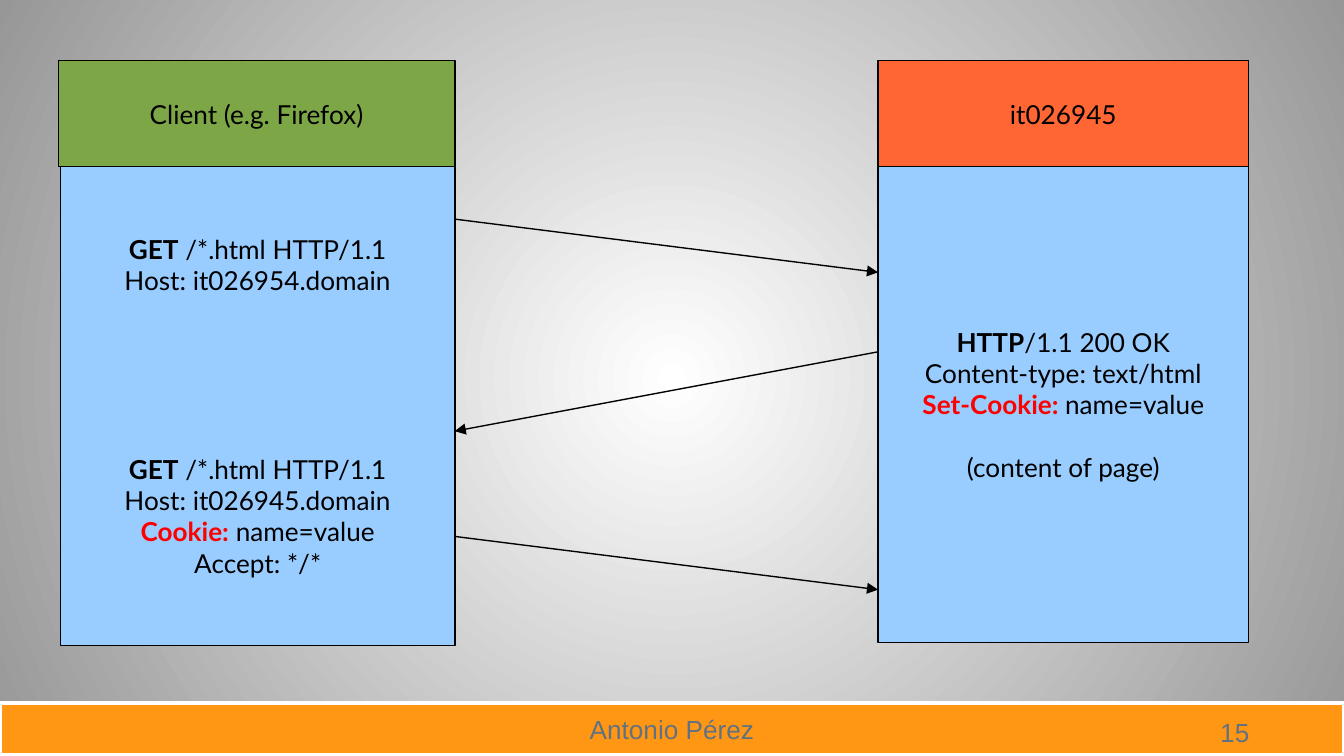
from lxml.etree import SubElement
from pptx import Presentation
from pptx.dml.color import RGBColor
from pptx.enum.shapes import MSO_CONNECTOR, MSO_SHAPE
from pptx.enum.text import MSO_ANCHOR, PP_ALIGN
from pptx.oxml.ns import qn
from pptx.util import Pt

COLORS = {
    "black": "000000", "white": "FFFFFF", "gray": "979797", "blue": "99CCFF",
    "green": "7DA647", "red_orange": "FF6633", "red": "FF0000",
    "orange": "FF9715", "slate": "617181",
}


def rgb(name):
    return RGBColor.from_string(COLORS[name])


def add_box(bounds, fill, lines, line=("black", 0.75), font=("Lato", "black")):
    """Each line is (space before, keyword, keyword colour, plain text)."""
    box = slide.shapes.add_shape(MSO_SHAPE.RECTANGLE, *map(Pt, bounds))
    box.shadow.inherit = False
    box.fill.solid()
    box.fill.fore_color.rgb = rgb(fill)
    box.line.color.rgb = rgb(line[0])
    box.line.width = Pt(line[1])
    frame = box.text_frame
    frame.word_wrap = True
    frame.vertical_anchor = MSO_ANCHOR.MIDDLE
    for index, (space, keyword, keyword_color, plain) in enumerate(lines):
        paragraph = frame.add_paragraph() if index else frame.paragraphs[0]
        paragraph.alignment = PP_ALIGN.CENTER
        paragraph.space_before = Pt(space)
        for text, color, bold in ((keyword, keyword_color, True), (plain, font[1], False)):
            if text:
                run = paragraph.add_run()
                run.text = text
                run.font.name = font[0]
                run.font.size = Pt(14)
                run.font.bold = bold
                run.font.color.rgb = rgb(color)


presentation = Presentation()
presentation.slide_width, presentation.slide_height = Pt(720), Pt(405)
slide = presentation.slides.add_slide(presentation.slide_layouts[6])

# Background: white centre fading to gray
background = slide.background.fill
background.gradient()
for stop, color in zip(background.gradient_stops, ("white", "gray")):
    stop.color.rgb = rgb(color)
gradient = slide.element.find(".//" + qn("a:gradFill"))
gradient.remove(gradient.find(qn("a:lin")))
circle = SubElement(gradient, qn("a:path"), path="circle")
SubElement(circle, qn("a:fillToRect"), l="50000", t="50000", r="50000", b="50000")

# Footer
add_box((0, 376.6, 720, 28), "orange", [(0, "", "", "Antonio Pérez")],
        line=("white", 2), font=("Arial", "slate"))
number = slide.shapes.add_textbox(Pt(646.6), Pt(380.2), Pt(43), Pt(24.5))
number.text_frame.word_wrap = True
number.text_frame.text = "15"
number_font = number.text_frame.paragraphs[0].runs[0].font
number_font.name = "Arial"
number_font.size = Pt(14)
number_font.color.rgb = rgb("slate")

# Messages of client and server, then the headers on top of them
add_box((32.4, 89.3, 211.4, 256.4), "blue", [
    (0, "GET", "black", " /*.html HTTP/1.1"),
    (0, "", "", "Host: it026954.domain"),
    (84, "GET", "black", " /*.html HTTP/1.1"),
    (0, "", "", "Host: it026945.domain"),
    (0, "Cookie:", "red", " name=value"),
    (0, "", "", "Accept: */*"),
])
add_box((470.4, 89.3, 198.5, 254.9), "blue", [
    (0, "HTTP", "black", "/1.1 200 OK"),
    (0, "", "", "Content-type: text/html"),
    (0, "Set-Cookie: ", "red", "name=value"),
    (16.8, "", "", "(content of page)"),
])
add_box((31.2, 32.4, 212.6, 56.9), "green", [(0, "", "", "Client (e.g. Firefox)")])
add_box((470.4, 32.4, 198.5, 56.9), "red_orange", [(0, "", "", "it026945")])

# Request, response, second request
client_edge, server_edge = 243.6, 470.4
for start_x, start_y, end_x, end_y in (
    (client_edge, 117.4, server_edge, 145.9),
    (server_edge, 188.5, client_edge, 231),
    (client_edge, 287.4, server_edge, 315.9),
):
    arrow = slide.shapes.add_connector(
        MSO_CONNECTOR.STRAIGHT, Pt(start_x), Pt(start_y), Pt(end_x), Pt(end_y))
    arrow.line.color.rgb = rgb("black")
    arrow.line.width = Pt(0.75)
    properties = arrow.element.spPr
    SubElement(properties.find(qn("a:ln")), qn("a:tailEnd"), type="triangle")
    SubElement(properties, qn("a:effectLst"))

presentation.save("out.pptx")
